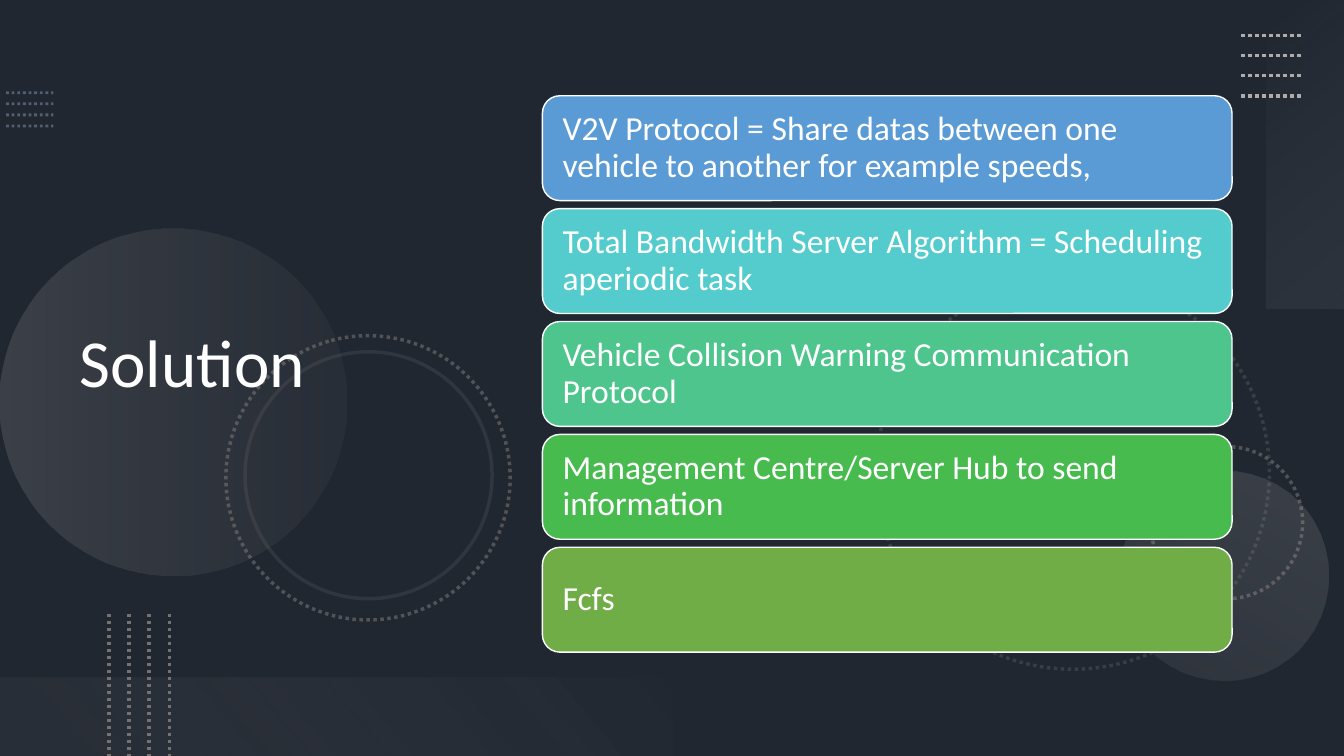
from dataclasses import dataclass
from typing import Optional

from pptx import Presentation
from pptx.dml.color import RGBColor
from pptx.enum.dml import MSO_LINE
from pptx.enum.shapes import MSO_CONNECTOR, MSO_SHAPE
from pptx.enum.text import MSO_ANCHOR, MSO_AUTO_SIZE, PP_ALIGN
from pptx.oxml.ns import qn
from pptx.oxml.xmlchemy import OxmlElement
from pptx.util import Inches, Pt

FONT = "Calibri"
WHITE = "FFFFFF"
GRAY = "767171"
SILVER = "AFABAB"
WIDTH, HEIGHT = 13.33, 7.5


@dataclass(frozen=True)
class Stop:
    position: float
    color: str
    opacity: int


@dataclass(frozen=True)
class Ring:
    left: float
    top: float
    size: float
    rotation: int
    opacity: int
    dotted: bool = True


@dataclass(frozen=True)
class Glow:
    kind: MSO_SHAPE
    left: float
    top: float
    width: float
    height: float
    rotation: int
    angle: int
    stops: tuple[Stop, Stop]


@dataclass(frozen=True)
class DotRows:
    left: float
    top: float
    width: float
    height: float
    step_x: float
    step_y: float
    color: str
    weight: float
    opacity: int = 100


@dataclass(frozen=True)
class Card:
    text: str
    color: str


DOT_ROWS = [
    DotRows(0.06, 0.92, 0.47, 0, 0, 0.11, "8497B0", 2, 50),
    DotRows(12.31, 0.35, 0.6, 0, 0, 0.2, SILVER, 2.5),
    DotRows(1.08, 6.09, 0, 1.41, 0.2, 0, GRAY, 2.5),
]
RINGS = [
    Ring(8.69, 2.74, 3.9, 75, 30),
    Ring(11.41, 4.43, 1.51, 270, 60),
    Ring(2.24, 3.33, 2.82, 75, 60),
    Ring(2.43, 3.49, 2.45, 75, 20, dotted=False),
]
GLOWS = [
    Glow(MSO_SHAPE.OVAL, 0, 2.27, 3.44, 3.44, 270, 90,
         (Stop(0, SILVER, 20), Stop(1, GRAY, 10))),
    Glow(MSO_SHAPE.OVAL, 11.1, 4.67, 2.08, 2.08, 210, 90,
         (Stop(0, SILVER, 10), Stop(1, SILVER, 20))),
    Glow(MSO_SHAPE.RECTANGLE, 11.42, 1.14, 3.06, 0.78, 270, 140,
         (Stop(0, "F5F5F5", 0), Stop(1, SILVER, 10))),
    Glow(MSO_SHAPE.RECTANGLE, 0, 6.72, 6.67, 0.78, 180, 140,
         (Stop(0.1, GRAY, 10), Stop(1, "F1F0F0", 0))),
]
CARDS = [
    Card("V2V Protocol = Share datas between one vehicle to another for example speeds,", "5B9BD5"),
    Card("Total Bandwidth Server Algorithm = Scheduling aperiodic task", "54CCCD"),
    Card("Vehicle Collision Warning Communication Protocol", "4DC58D"),
    Card("Management Centre/Server Hub to send information", "48BB4F"),
    Card("Fcfs", "70AD47"),
]
CARD_TOP, CARD_STEP = 0.95, 1.12


def rgb(color: str) -> RGBColor:
    return RGBColor.from_string(color)


def set_opacity(shape, *opacities: int) -> None:
    """Give each colour of the shape, in order, its opacity in percent."""
    colors = shape.element.spPr.iter(qn("a:srgbClr"))
    for color, opacity in zip(list(colors), opacities):
        alpha = OxmlElement("a:alpha")
        alpha.set("val", str(opacity * 1000))
        color.append(alpha)


def add_plain_shape(slide, kind, left: float, top: float, width: float, height: float):
    shape = slide.shapes.add_shape(
        kind, Inches(left), Inches(top), Inches(width), Inches(height))
    shape.shadow.inherit = False
    shape.line.fill.background()
    return shape


def style_line(line, color: str, weight: float, dotted: bool) -> None:
    line.color.rgb = rgb(color)
    line.width = Pt(weight)
    if dotted:
        line.dash_style = MSO_LINE.ROUND_DOT


def style_text(text_frame, text: str, size: int) -> None:
    text_frame.text = text
    text_frame.word_wrap = True
    text_frame.auto_size = MSO_AUTO_SIZE.NONE
    text_frame.vertical_anchor = MSO_ANCHOR.MIDDLE
    paragraph = text_frame.paragraphs[0]
    paragraph.alignment = PP_ALIGN.LEFT
    paragraph.line_spacing = 0.9
    paragraph.font.name = FONT
    paragraph.font.size = Pt(size)
    paragraph.font.color.rgb = rgb(WHITE)


def add_dot_rows(slide, rows: DotRows) -> None:
    for index in range(4):
        left = rows.left + index * rows.step_x
        top = rows.top + index * rows.step_y
        connector = slide.shapes.add_connector(
            MSO_CONNECTOR.STRAIGHT, Inches(left), Inches(top),
            Inches(left + rows.width), Inches(top + rows.height))
        style_line(connector.line, rows.color, rows.weight, True)
        set_opacity(connector, rows.opacity)
        connector.element.spPr.append(OxmlElement("a:effectLst"))


def add_ring(slide, ring: Ring) -> None:
    shape = add_plain_shape(
        slide, MSO_SHAPE.OVAL, ring.left, ring.top, ring.size, ring.size)
    shape.rotation = ring.rotation
    shape.fill.background()
    style_line(shape.line, GRAY, 2.5, ring.dotted)
    set_opacity(shape, ring.opacity)


def add_glow(slide, glow: Glow) -> None:
    shape = add_plain_shape(
        slide, glow.kind, glow.left, glow.top, glow.width, glow.height)
    shape.rotation = glow.rotation
    shape.fill.gradient()
    shape.fill.gradient_angle = 360 - glow.angle
    for gradient_stop, stop in zip(shape.fill.gradient_stops, glow.stops):
        gradient_stop.position = stop.position
        gradient_stop.color.rgb = rgb(stop.color)
    set_opacity(shape, *(stop.opacity for stop in glow.stops))


def add_card(slide, card: Card, top: float) -> None:
    shape = add_plain_shape(slide, MSO_SHAPE.ROUNDED_RECTANGLE, 5.38, top, 6.84, 1.04)
    shape.fill.solid()
    shape.fill.fore_color.rgb = rgb(card.color)
    style_line(shape.line, WHITE, 1, False)
    style_text(shape.text_frame, card.text, 24)
    shape.text_frame.margin_left = shape.text_frame.margin_right = Inches(0.15)


def main() -> None:
    presentation = Presentation()
    presentation.slide_width = Inches(WIDTH)
    presentation.slide_height = Inches(HEIGHT)
    slide = presentation.slides.add_slide(presentation.slide_layouts[5])

    # Background with a dark overlay
    slide.background.fill.solid()
    slide.background.fill.fore_color.rgb = rgb("44546A")
    overlay = add_plain_shape(slide, MSO_SHAPE.RECTANGLE, 0, 0, WIDTH, HEIGHT)
    overlay.fill.solid()
    overlay.fill.fore_color.rgb = rgb("000000")
    set_opacity(overlay, 53)

    # Decoration
    for ring in RINGS:
        add_ring(slide, ring)
    for glow in GLOWS:
        add_glow(slide, glow)
    for rows in DOT_ROWS:
        add_dot_rows(slide, rows)

    # Title, brought in front of the decoration
    title = slide.shapes.title
    title.left, title.top = Inches(0.69), Inches(0.54)
    title.width, title.height = Inches(4.59), Inches(6.17)
    style_text(title.text_frame, "Solution", 48)
    title.element.getparent().append(title.element)

    # Cards
    for index, card in enumerate(CARDS):
        add_card(slide, card, CARD_TOP + index * CARD_STEP)

    presentation.save("out.pptx")


if __name__ == "__main__":
    main()
